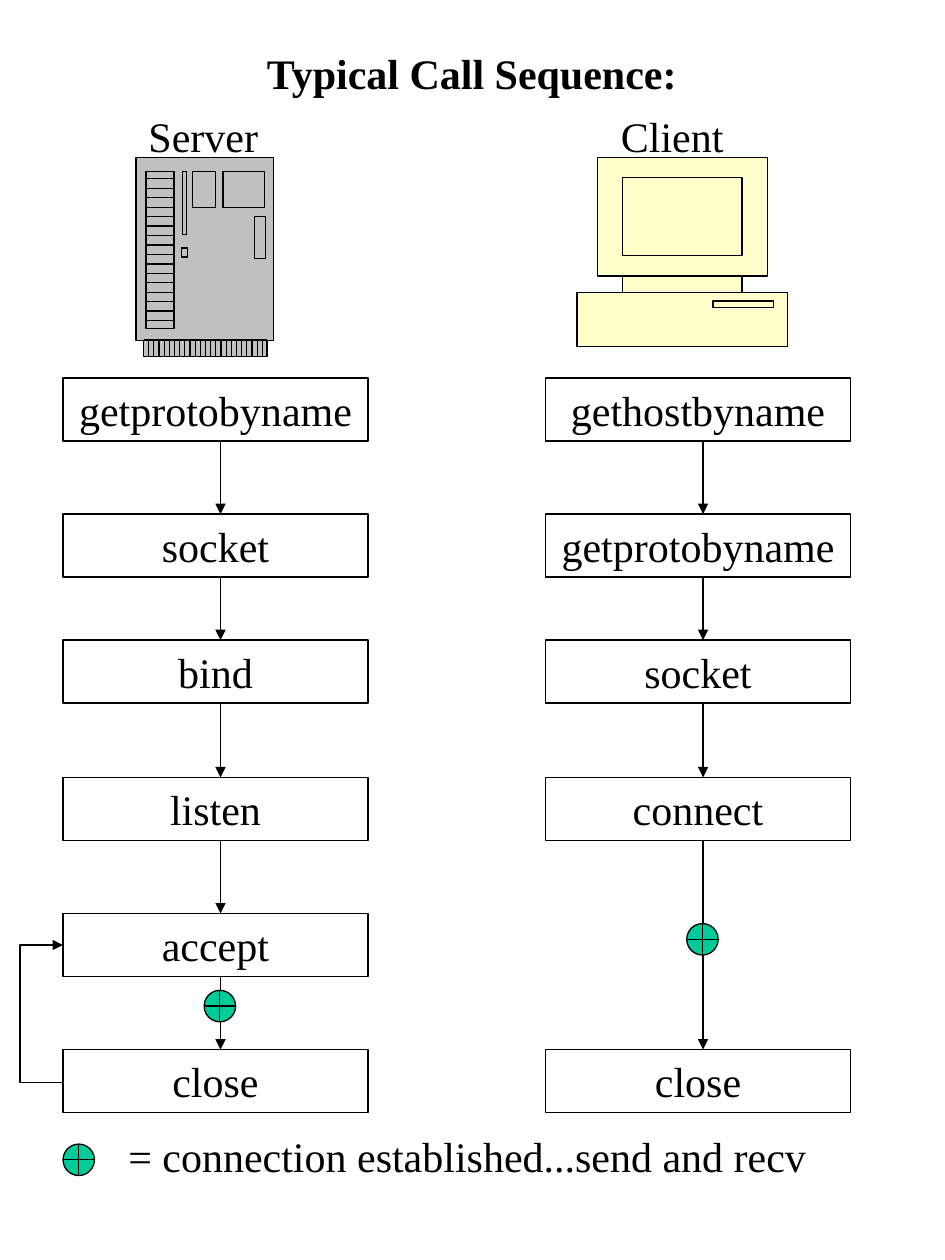
from itertools import pairwise

from lxml.etree import SubElement
from pptx import Presentation
from pptx.dml.color import RGBColor
from pptx.enum.shapes import MSO_CONNECTOR, MSO_SHAPE as SHAPE
from pptx.enum.text import MSO_ANCHOR, PP_ALIGN as ALIGN
from pptx.oxml.ns import qn
from pptx.util import Inches, Pt

BLACK = RGBColor(0, 0, 0)
WHITE = RGBColor(255, 255, 255)
GREEN = RGBColor(0, 204, 153)
CREAM = RGBColor(255, 255, 204)
GRAY = RGBColor(192, 192, 192)
FONT = "Times New Roman"

TITLE = "Typical Call Sequence:"
LABELS = [
    ("Server", 1.08, 0.83, 1.25),
    ("Client", 4.83, 0.83, 1.1),
    ("= connection established...send and recv", 0.92, 8.92, 5.65),
]
ROWS = [3, 4.08, 5.08, 6.17, 7.25, 8.33]
BOX_W, BOX_H, ARROW_DX = 2.42, 0.5, 1.25
COLUMNS = [
    (0.5, ["getprotobyname", "socket", "bind", "listen", "accept", "close"]),
    (4.33, ["gethostbyname", "getprotobyname", "socket", "connect", None, "close"]),
]
MARKERS = [(5.45, 7.33), (1.62, 7.86), (0.5, 9.08)]
MARKER_SIZE = 0.25
LOOP = [(0.5, 8.59), (0.16, 8.59), (0.16, 7.5), (0.5, 7.5)]

CLIENT_BODY = [
    (5.89, 2.32), (5.89, 2.19), (6.09, 2.19), (6.09, 1.25), (4.74, 1.25),
    (4.74, 2.19), (4.94, 2.19), (4.94, 2.32), (4.58, 2.32), (4.58, 2.75),
    (6.25, 2.75), (6.25, 2.32), (5.89, 2.32),
]
CLIENT_PARTS = [
    (4.94, 2.19, 5.89, 2.32), (4.94, 1.41, 5.89, 2.03), (5.66, 2.39, 6.14, 2.44),
]
SERVER_BODY = [
    (2.17, 1.25), (1.08, 1.25), (1.08, 2.7), (1.14, 2.7), (1.14, 2.83),
    (2.12, 2.83), (2.12, 2.7), (2.17, 2.7), (2.17, 1.25),
]
SERVER_PARTS = [
    (1.16, 1.36, 1.38, 2.61), (1.45, 1.36, 1.48, 1.86), (1.44, 1.97, 1.49, 2.04),
    (1.53, 1.36, 1.71, 1.65), (1.77, 1.36, 2.1, 1.65), (2.02, 1.72, 2.11, 2.05),
]
SLOT_COUNT, FIN_COUNT = 16, 23


def set_line(sp):
    sp.line.color.rgb = BLACK
    sp.line.width = Pt(0.75)


def add_arrowhead(sp):
    SubElement(sp.line._get_or_add_ln(), qn("a:tailEnd"), type="triangle")


def set_text(sp, text, align, bold=False, wrap=True):
    tf = sp.text_frame
    tf.word_wrap = wrap
    tf.vertical_anchor = MSO_ANCHOR.TOP
    tf.margin_left = tf.margin_right = Inches(0.1)
    tf.margin_top = tf.margin_bottom = Inches(0.05)
    p = tf.paragraphs[0]
    p.text = text
    p.alignment = align
    p.line_spacing = 1.0
    p.space_before = Pt(0)
    p.font.name = FONT
    p.font.size = Pt(24)
    p.font.bold = bold
    p.font.color.rgb = BLACK


def add_preset(shapes, kind, x, y, w, h, fill):
    sp = shapes.add_shape(kind, Inches(x), Inches(y), Inches(w), Inches(h))
    sp.shadow.inherit = False
    sp.fill.solid()
    sp.fill.fore_color.rgb = fill
    set_line(sp)
    return sp


def add_arrow(shapes, x, y1, y2):
    sp = shapes.add_connector(
        MSO_CONNECTOR.STRAIGHT, Inches(x), Inches(y1), Inches(x), Inches(y2)
    )
    set_line(sp)
    add_arrowhead(sp)
    SubElement(sp._element.spPr, qn("a:effectLst"))


def add_outline(shapes, contours, fill=None):
    builder = None
    for contour in contours:
        points = [(Inches(x), Inches(y)) for x, y in contour]
        if builder is None:
            builder = shapes.build_freeform(*points[0])
        else:
            builder.move_to(*points[0])
        builder.add_line_segments(points[1:], close=False)
    sp = builder.convert_to_shape()
    sp.shadow.inherit = False
    if fill is None:
        sp.fill.background()
    else:
        sp.fill.solid()
        sp.fill.fore_color.rgb = fill
    set_line(sp)
    return sp


def rectangle(x1, y1, x2, y2):
    return [(x1, y1), (x2, y1), (x2, y2), (x1, y2), (x1, y1)]


def add_machine(shapes, body, parts, strokes, fill):
    add_outline(shapes, [body], fill)
    add_outline(shapes, [rectangle(*part) for part in parts] + strokes)


def main():
    prs = Presentation()
    prs.slide_width, prs.slide_height = Inches(7.5), Inches(10)
    slide = prs.slides.add_slide(prs.slide_layouts[5])
    shapes = slide.shapes

    title = shapes.title
    title.left, title.top = Inches(0.33), Inches(0.33)
    title.width, title.height = Inches(6.83), Inches(0.5)
    set_text(title, TITLE, ALIGN.CENTER, bold=True)

    slots = [[(1.16, 1.42 + 0.075 * i), (1.38, 1.42 + 0.075 * i)] for i in range(SLOT_COUNT)]
    fins = [[(1.18 + 0.041 * i, 2.7), (1.18 + 0.041 * i, 2.83)] for i in range(FIN_COUNT)]
    base = [[(1.14, 2.7), (2.12, 2.7)]]
    add_machine(shapes, CLIENT_BODY, CLIENT_PARTS, [], CREAM)
    add_machine(shapes, SERVER_BODY, SERVER_PARTS, base + slots + fins, GRAY)

    for left, calls in COLUMNS:
        steps = [(y, call) for y, call in zip(ROWS, calls) if call]
        for (y1, _), (y2, _) in pairwise(steps):
            add_arrow(shapes, left + ARROW_DX, y1 + BOX_H, y2)
        for y, call in steps:
            box = add_preset(shapes, SHAPE.RECTANGLE, left, y, BOX_W, BOX_H, WHITE)
            set_text(box, call, ALIGN.CENTER)

    add_arrowhead(add_outline(shapes, [LOOP]))

    for x, y in MARKERS:
        add_preset(shapes, SHAPE.FLOWCHART_OR, x, y, MARKER_SIZE, MARKER_SIZE, GREEN)

    for text, x, y, w in LABELS:
        label = shapes.add_textbox(Inches(x), Inches(y), Inches(w), Inches(0.5))
        set_text(label, text, ALIGN.LEFT)

    prs.save("out.pptx")


if __name__ == "__main__":
    main()
